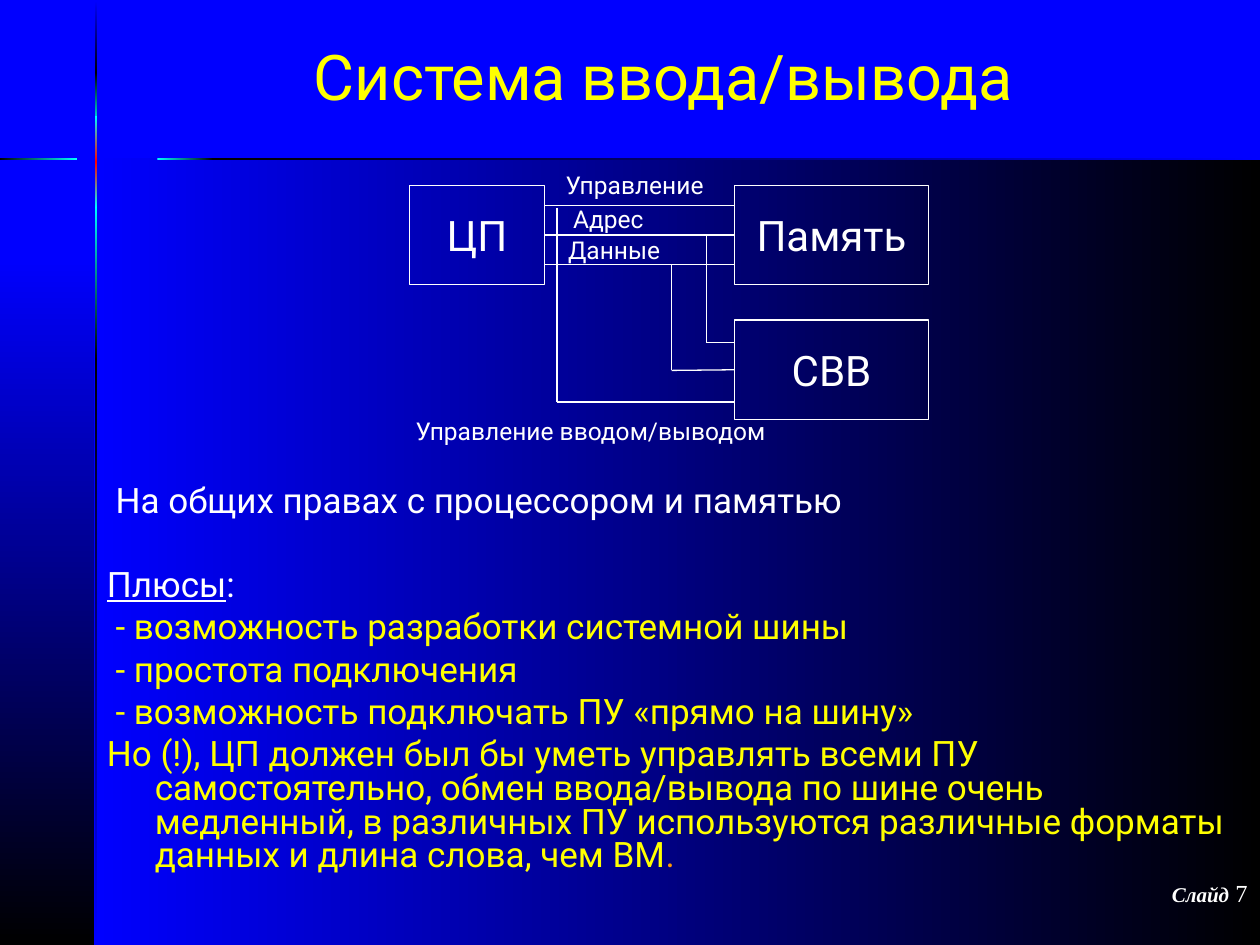
from copy import deepcopy

from lxml.etree import SubElement
from pptx import Presentation
from pptx.dml.color import RGBColor
from pptx.enum.shapes import MSO_CONNECTOR as CONN, MSO_SHAPE as SHAPE
from pptx.enum.text import MSO_ANCHOR as ANCHOR, MSO_AUTO_SIZE as AUTO, PP_ALIGN as ALIGN
from pptx.oxml.ns import qn
from pptx.util import Inches, Pt

COLORS = {"blue": "0000FF", "black": "000000", "cyan": "00FFFF", "red": "FF0000",
          "white": "FFFFFF", "yellow": "FFFF00", "orange": "FF9900"}
FONT = "Roboto"
SERIF = "Times New Roman"
DOWN, ACROSS = 90, 0

BANDS = [
    (0.75, 1.25, 9.25, 6.25, ACROSS, ("blue", "black")),
    (0, 2.02, 0.75, 5.48, DOWN, ("blue", "black")),
    (0.75, 0.01, 0.02, 0.57, DOWN, ("blue", "black")),
    (0.75, 2.82, 0.02, 4.68, DOWN, ("black", "blue")),
    (0.75, 1.63, 0.02, 1.22, DOWN, ("cyan", "black")),
    (0.75, 0.58, 0.02, 0.44, DOWN, ("black", "cyan")),
    (0.75, 0.92, 0.02, 0.73, DOWN, ("cyan", "red", "cyan")),
    (0, 1.25, 0.61, 0.02, ACROSS, ("black", "cyan")),
    (1.67, 1.25, 8.33, 0.02, ACROSS, ("black", "blue")),
    (1.25, 1.25, 0.44, 0.02, ACROSS, ("cyan", "black")),
]
FLARE = [(0.21, 1.26), (0.6, 1.27), (1.33, 1.27), (1.33, 1.25), (0.6, 1.25)]
LABELS = [("Управление", 4.39, 1.3, 1.36), ("Адрес", 4.45, 1.57, 0.76),
          ("Данные", 4.41, 1.82, 0.95), ("Управление вводом/выводом", 3.2, 3.25, 3.08)]
BODY = [
    [(" На общих правах с процессором и памятью", "white", False)],
    [("Плюсы", "white", True), (":", "white", False)],
    [(" - возможность разработки системной шины", "yellow", False)],
    [(" - простота подключения", "yellow", False)],
    [(" - возможность подключать ПУ «прямо на шину»", "yellow", False)],
    [("Но (!), ЦП должен был бы уметь управлять всеми ПУ самостоятельно, обмен "
      "ввода/вывода по шине очень медленный, в различных ПУ используются различные "
      "форматы данных и длина слова, чем ВМ", "yellow", False), (".", "orange", False)],
]


def rgb(name):
    """Return the named colour."""
    return RGBColor.from_string(COLORS[name])


def add_run(p, text, size, color="white", font=FONT):
    """Add one formatted run to a paragraph."""
    r = p.add_run()
    r.text = text
    r.font.size = Pt(size)
    r.font.name = font
    r.font.color.rgb = rgb(color)
    return r


def fill_gradient(sp, angle, names):
    """Fill a shape with evenly spaced gradient stops and no outline."""
    sp.shadow.inherit = False
    sp.line.fill.background()
    sp.fill.gradient()
    sp.fill.gradient_angle = (360 - angle) % 360
    stops = sp._element.spPr.find(qn("a:gradFill")).find(qn("a:gsLst"))
    for _ in names[2:]:
        stops.append(deepcopy(stops[-1]))
    for i, (stop, name) in enumerate(zip(sp.fill.gradient_stops, names)):
        stop.position = i / (len(names) - 1)
        stop.color.rgb = rgb(name)


def add_band(s, x, y, w, h, angle, names):
    """Add a gradient rectangle."""
    sp = s.shapes.add_shape(SHAPE.RECTANGLE, Inches(x), Inches(y), Inches(w), Inches(h))
    fill_gradient(sp, angle, names)


def add_flare(s):
    """Add the pointed glow across the horizontal rule."""
    builder = s.shapes.build_freeform(*FLARE[0], scale=Inches(1))
    builder.add_line_segments(FLARE[1:], close=True)
    fill_gradient(builder.convert_to_shape(), ACROSS, ("cyan", "red", "cyan"))


def add_block(s, text, x, y, w):
    """Add an outlined block of the diagram."""
    sp = s.shapes.add_shape(SHAPE.RECTANGLE, Inches(x), Inches(y), Inches(w), Inches(0.79))
    sp.shadow.inherit = False
    sp.fill.background()
    sp.line.color.rgb = rgb("white")
    sp.line.width = Pt(0.75)
    tf = sp.text_frame
    tf.word_wrap = False
    tf.vertical_anchor = ANCHOR.MIDDLE
    p = tf.paragraphs[0]
    p.alignment = ALIGN.CENTER
    add_run(p, text, 24)
    return sp


def add_line(s, x1, y1, x2, y2, begin=None, end=None):
    """Add a bus line, joined to the right of begin and the left of end."""
    line = s.shapes.add_connector(CONN.STRAIGHT, Inches(x1), Inches(y1), Inches(x2), Inches(y2))
    line.line.color.rgb = rgb("white")
    line.line.width = Pt(0.75)
    SubElement(line._element.spPr, qn("a:effectLst"))
    if begin is not None:
        line.begin_connect(begin, 3)
    if end is not None:
        line.end_connect(end, 1)


def add_text(s, x, y, w, h, wrap=True):
    """Add an empty text box and return its text frame."""
    tf = s.shapes.add_textbox(Inches(x), Inches(y), Inches(w), Inches(h)).text_frame
    tf.word_wrap = wrap
    return tf


def add_label(s, text, x, y, w):
    """Add a caption to a bus line."""
    tf = add_text(s, x, y, w, 0.34, wrap=False)
    tf.auto_size = AUTO.SHAPE_TO_FIT_TEXT
    add_run(tf.paragraphs[0], text, 14)


def add_title(s, text):
    """Place and format the title."""
    title = s.shapes.title
    title.left, title.top = Inches(1.15), Inches(0.18)
    title.width, title.height = Inches(8.23), Inches(0.83)
    title.text_frame.vertical_anchor = ANCHOR.MIDDLE
    p = title.text_frame.paragraphs[0]
    p.alignment = ALIGN.CENTER
    add_run(p, text, 36, "yellow")


def add_body(s):
    """Add the explanation with hanging indents."""
    tf = add_text(s, 0.75, 3.81, 9.25, 3.31)
    for i, runs in enumerate(BODY):
        p = tf.add_paragraph() if i else tf.paragraphs[0]
        p.line_spacing = 0.8
        p.space_before = Pt(29 if i == 1 else 5)
        pPr = p._p.get_or_add_pPr()
        pPr.set("marL", str(Inches(0.38)))
        pPr.set("indent", str(Inches(-0.38)))
        for text, color, underline in runs:
            add_run(p, text, 20, color).font.underline = underline


def add_number(s):
    """Add the slide number."""
    p = add_text(s, 7.92, 6.92, 2.08, 0.5).paragraphs[0]
    p.alignment = ALIGN.RIGHT
    r = add_run(p, "Слайд", 12, font=SERIF)
    r.font.bold = r.font.italic = True
    add_run(p, " 7", 14, font=SERIF)


def add_diagram(s):
    """Add the blocks, the buses between them and their captions."""
    memory = add_block(s, "Память", 5.83, 1.47, 1.54)
    io_system = add_block(s, "СВВ", 5.83, 2.54, 1.54)
    cpu = add_block(s, "ЦП", 3.25, 1.47, 1.07)
    add_line(s, 4.32, 1.63, 5.83, 1.63)
    add_line(s, 4.32, 1.86, 5.83, 1.86, cpu, memory)
    add_line(s, 4.32, 2.1, 5.83, 2.1)
    for x, top, bottom, end in ((5.61, 1.86, 2.72, None), (5.33, 2.1, 2.94, io_system),
                                (4.42, 1.65, 3.19, None)):
        add_line(s, x, top, x, bottom)
        add_line(s, x, bottom, 5.83, bottom, end=end)
    for label in LABELS:
        add_label(s, *label)


def main():
    """Build the slide and save it."""
    prs = Presentation()
    prs.slide_width, prs.slide_height = Inches(10), Inches(7.5)
    s = prs.slides.add_slide(prs.slide_layouts[5])
    s.background.fill.solid()
    s.background.fill.fore_color.rgb = rgb("blue")
    for band in BANDS:
        add_band(s, *band)
    add_flare(s)
    add_number(s)
    add_title(s, "Система ввода/вывода")
    add_body(s)
    add_diagram(s)
    prs.save("out.pptx")


if __name__ == "__main__":
    main()
